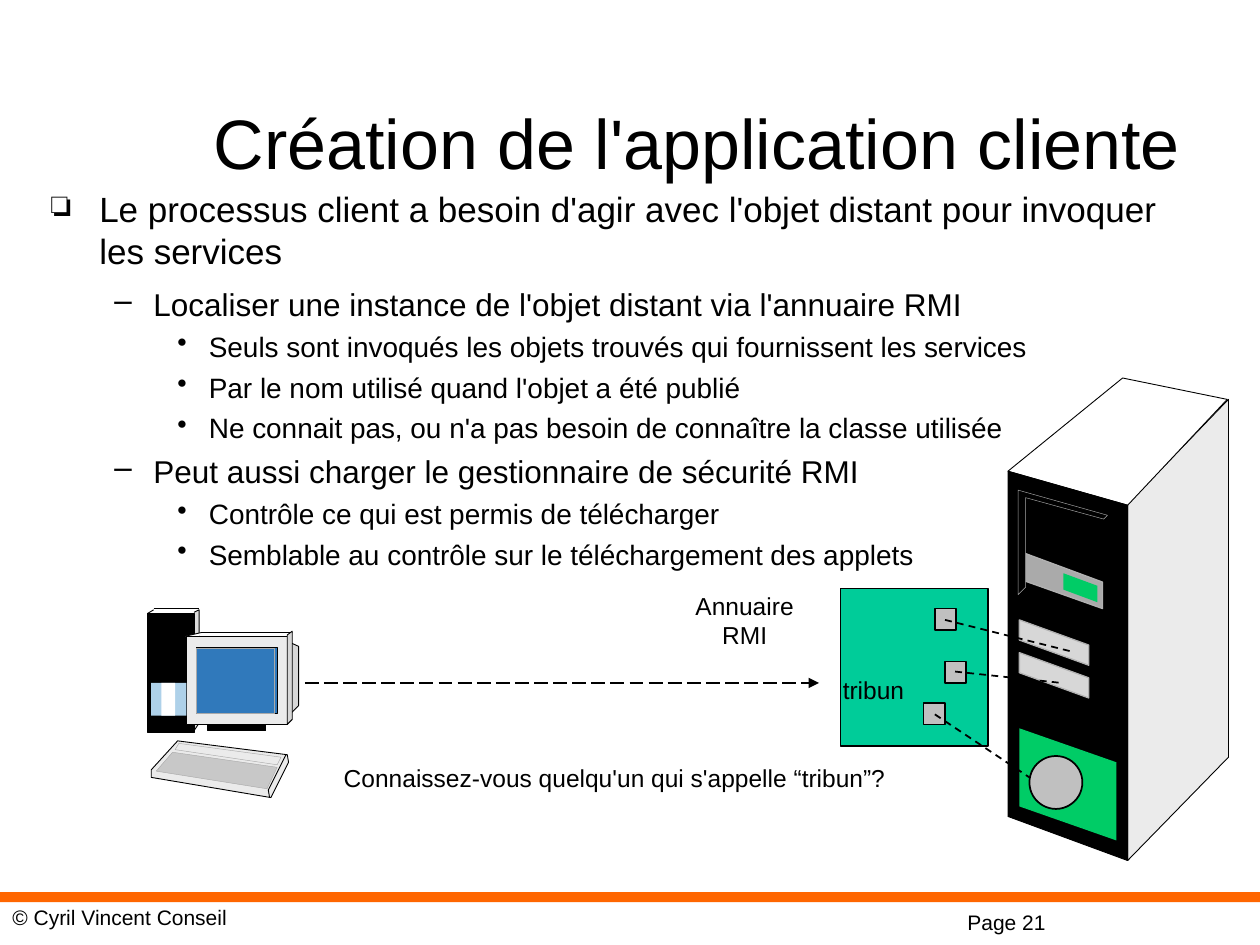
import pptx
import pptx.dml.color
import pptx.enum.dml
import pptx.enum.shapes
import pptx.enum.text
import pptx.util
from lxml import etree
from pptx.oxml.ns import qn
from pptx.util import Inches

COLORS = {
    "black": "000000", "white": "FFFFFF", "orange": "FF6600",
    "green": "00CC66", "teal": "00CC99", "blue": "3079BB", "sky": "AED1E9",
    "pale": "EBEBEB", "mist": "DDDDDD", "light": "D7D7D7", "key": "C8C8C8",
    "silver": "C0C0C0", "edge": "B2B2B2", "gray": "AAAAAA",
}
Align = pptx.enum.text.PP_ALIGN
Dash = pptx.enum.dml.MSO_LINE

deck = pptx.Presentation()
deck.slide_width = Inches(10)
deck.slide_height = Inches(7.5)
page = deck.slides.add_slide(deck.slide_layouts[6])


def color(name):
    return pptx.dml.color.RGBColor.from_string(COLORS[name])


def add_text(text, place=None, box=None, size=14, align=Align.LEFT, wrap=True,
             fit=True, middle=False, level=0, bullet=None, margin=0, hanging=0,
             before=0, after=0):
    if box is None:
        box = page.shapes.add_textbox(*[Inches(value) for value in place])
        frame = box.text_frame
        frame.word_wrap = wrap
        frame.auto_size = (pptx.enum.text.MSO_AUTO_SIZE.SHAPE_TO_FIT_TEXT if fit
                           else pptx.enum.text.MSO_AUTO_SIZE.NONE)
        if middle:
            frame.vertical_anchor = pptx.enum.text.MSO_ANCHOR.MIDDLE
        para = frame.paragraphs[0]
    else:
        para = box.text_frame.add_paragraph()
    para.text = text
    if bullet:
        properties = para._p.get_or_add_pPr()
        properties.set("marL", str(Inches(margin)))
        properties.set("indent", str(-Inches(hanging)))
        tint = etree.SubElement(properties, qn("a:buClr"))
        etree.SubElement(tint, qn("a:srgbClr"), val=COLORS["black"])
        etree.SubElement(properties, qn("a:buChar"), char=bullet)
    para.level = level
    para.alignment = align
    para.space_before = pptx.util.Pt(before)
    para.space_after = pptx.util.Pt(after)
    for span in para.runs:
        span.font.size = pptx.util.Pt(size)
        span.font.name = "Arial"
        span.font.color.rgb = color("black")
    return box


server = [
    ("outline", [(8.95, 6.83), (8.95, 4), (9.75, 3.17), (9.75, 6.01)], "pale", "black", 0.5),
    ("outline", [(8, 3.74), (8.91, 3), (9.74, 3.17), (8.95, 4.01)], "white", "black", 0.5),
    ("outline", [(8, 3.74), (8, 6.48), (8.95, 6.83), (8.95, 4.01)], "black", "black", 0.5),
    ("outline", [(8.09, 5.78), (8.86, 6.05), (8.86, 6.67), (8.09, 6.4)], "green", None, 0),
    ("outline", [(8.13, 4.39), (8.75, 4.62), (8.75, 4.83), (8.13, 4.61)], "gray", "edge", 0.75),
    ("outline", [(8.44, 4.55), (8.71, 4.65), (8.71, 4.78), (8.44, 4.68)], "green", None, 0),
]
for top in (5.18, 4.92):
    drive = [(8.09, top), (8.64, top + 0.2), (8.64, top + 0.36), (8.09, top + 0.16)]
    server.append(("outline", drive, "light", "edge", 0.75))
server.append(("outline", [(8.08, 4.72), (8.08, 3.89), (8.79, 4.09), (8.76, 4.12),
                           (8.14, 3.95), (8.14, 4.66)], "black", "gray", 0.25))

directory = [
    ("rectangle", (6.67, 4.67, 1.17, 1.25), "teal", "black", 1),
    ("oval", (8.17, 6, 0.42, 0.42), "silver", "black", 1),
]
for left, top in [(7.33, 5.58), (7.42, 4.83), (7.5, 5.25)]:
    directory.append(("rectangle", (left, top, 0.17, 0.17), "silver", "black", 1))

workstation = [
    ("path", [(1.54, 4.86), (1.58, 4.84), (1.58, 5.74), (1.54, 5.8)], "mist", "black", 0.5),
    ("rectangle", (1.17, 4.87, 0.37, 0.94), "black", "black", 0.5),
    ("path", [(1.47, 5.05), (1.6, 5.02), (2.32, 5.02)], "white", "black", 0.5),
    ("rectangle", (1.65, 5.75, 0.46, 0.05), "black", "black", 0.5),
    ("outline", [(2.24, 5.07), (2.37, 5.13), (2.37, 5.6), (2.25, 5.72)], "light", "black", 0.5),
    ("rectangle", (1.48, 5.05, 0.8, 0.7), "pale", "black", 0.5),
    ("outline", [(2.28, 5.04), (2.32, 5.01), (2.32, 5.71), (2.28, 5.75)], "light", "black", 0.5),
    ("outline", [(1.2, 6.17), (1.2, 6.11), (1.41, 5.88), (2.28, 5.99), (2.29, 6.05),
                 (2.15, 6.33)], "pale", "black", 0.5),
    ("path", [(2.27, 5.99), (2.13, 6.27), (2.14, 6.33)], None, "black", 0.5),
    ("outline", [(1.37, 5.97), (2.2, 6.09), (2.12, 6.26), (1.24, 6.12)], "key", "gray", 0.25),
    ("outline", [(1.42, 5.9), (2.23, 6.01), (2.2, 6.07), (1.39, 5.95)], None, "gray", 0.25),
    ("rectangle", (1.56, 5.14, 0.64, 0.52), "blue", "black", 0.5),
    ("rectangle", (1.56, 5.15, 0.62, 0.51), None, "gray", 0.5),
    ("rectangle", (1.2, 5.42, 0.28, 0.26), "sky", None, 0),
    ("rectangle", (1.28, 5.42, 0.11, 0.26), "white", None, 0),
]
footer_bar = [("rectangle", (0, 7.08, 10, 0.08), "orange", None, 0)]
presets = {"rectangle": pptx.enum.shapes.MSO_SHAPE.RECTANGLE,
           "oval": pptx.enum.shapes.MSO_SHAPE.OVAL}

for kind, geometry, fill, line, width in footer_bar + server + directory + workstation:
    if kind in presets:
        shape = page.shapes.add_shape(presets[kind], *[Inches(value) for value in geometry])
    else:
        points = [(Inches(x), Inches(y)) for x, y in geometry]
        builder = page.shapes.build_freeform(*points[0])
        builder.add_line_segments(points[1:], close=kind == "outline")
        shape = builder.convert_to_shape()
    shape.shadow.inherit = False
    if fill:
        shape.fill.solid()
        shape.fill.fore_color.rgb = color(fill)
    else:
        shape.fill.background()
    if line:
        shape.line.color.rgb = color(line)
        shape.line.width = pptx.util.Pt(width)
    else:
        shape.line.fill.background()

connections = [
    ((7.5, 4.92, 8.5, 5.17), 1, Dash.DASH, False),
    ((7.58, 5.33, 8.42, 5.42), 1, Dash.DASH, False),
    ((7.42, 5.67, 8.17, 6.17), 1, Dash.DASH, False),
    ((2.42, 5.42, 6.5, 5.42), 1, Dash.LONG_DASH, True),
    ((1.22, 4.83, 1.58, 4.83), 0.5, None, False),
    ((1.17, 4.87, 1.22, 4.84), 0.5, None, False),
]
for ends, width, dash, arrow in connections:
    connector = page.shapes.add_connector(pptx.enum.shapes.MSO_CONNECTOR.STRAIGHT,
                                          *[Inches(value) for value in ends])
    connector.line.color.rgb = color("black")
    connector.line.width = pptx.util.Pt(width)
    if dash:
        connector.line.dash_style = dash
    if arrow:
        etree.SubElement(connector.line._get_or_add_ln(), qn("a:tailEnd"), type="triangle")
    etree.SubElement(connector._element.spPr, qn("a:effectLst"))

add_text("Création de l'application cliente", (1.28, 0.5, 8.5, 1.25), size=40,
         align=Align.CENTER, fit=False, middle=True)

levels = [
    dict(size=20, bullet="❏", margin=0.38, hanging=0.38, after=3),
    dict(size=18, bullet="–", margin=0.81, hanging=0.31, before=4.5),
    dict(size=16, bullet="•", margin=1.25, hanging=0.25, before=4),
]
points = [
    (0, "Le processus client a besoin d'agir avec l'objet distant pour invoquer les services"),
    (1, "Localiser une instance de l'objet distant via l'annuaire RMI"),
    (2, "Seuls sont invoqués les objets trouvés qui fournissent les services"),
    (2, "Par le nom utilisé quand l'objet a été publié"),
    (2, "Ne connait pas, ou n'a pas besoin de connaître la classe utilisée"),
    (1, "Peut aussi charger le gestionnaire de sécurité RMI"),
    (2, "Contrôle ce qui est permis de télécharger"),
    (2, "Semblable au contrôle sur le téléchargement des applets"),
]
body = None
for level, text in points:
    body = add_text(text, (0.31, 1.44, 9.4, 3.53), box=body, fit=False, level=level,
                    **levels[level])

add_text("tribun", (6.59, 5.31, 0.69, 0.34), wrap=False)
add_text("Annuaire\nRMI", (5.42, 4.64, 0.98, 0.57), align=Align.CENTER, wrap=False)
add_text("Connaissez-vous quelqu'un qui s'appelle “tribun”?", (2.63, 6.01, 4.5, 0.34), wrap=False)
add_text("Page 21", (7.58, 7.17, 1.33, 0.3), size=12)
add_text("© Cyril Vincent Conseil", (0, 7.13, 3.75, 0.3), size=12)

deck.save("out.pptx")
